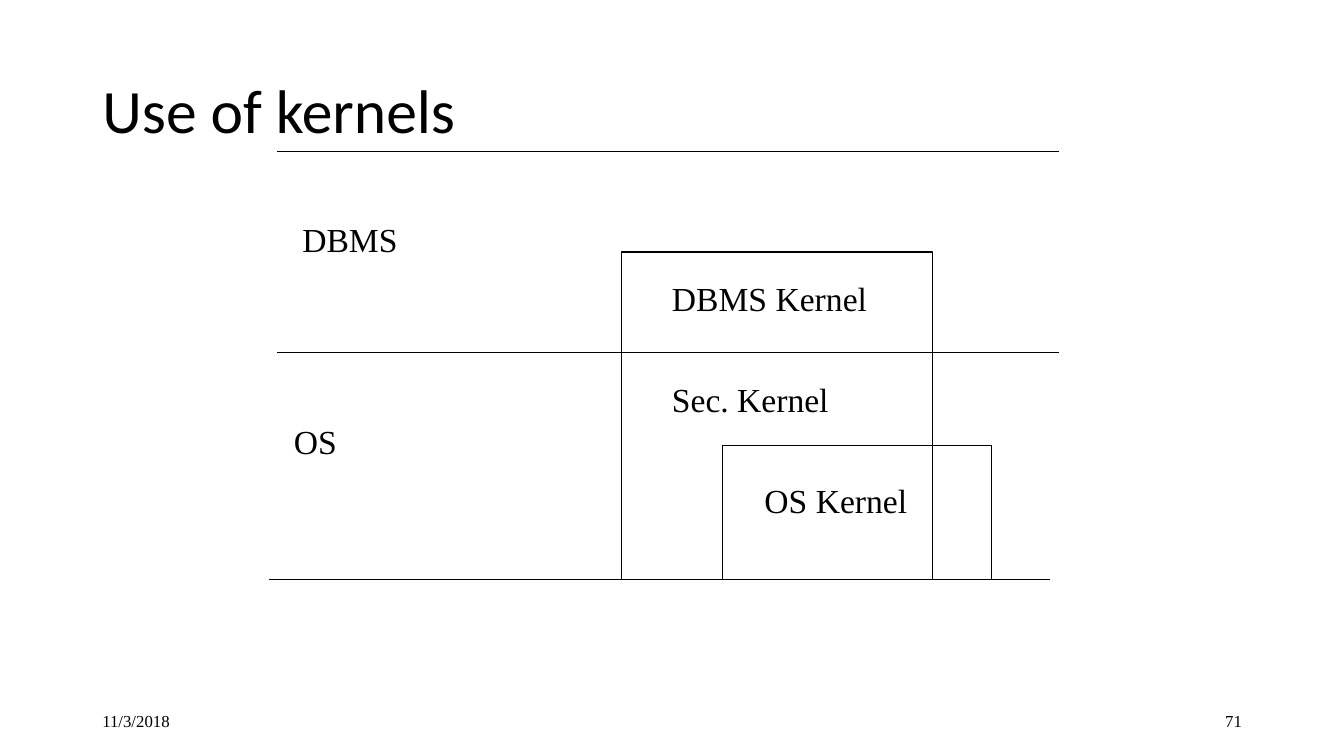
from dataclasses import dataclass

from lxml.etree import SubElement
from pptx import Presentation
from pptx.dml.color import RGBColor
from pptx.enum.shapes import MSO_CONNECTOR, MSO_SHAPE
from pptx.enum.text import MSO_ANCHOR, MSO_AUTO_SIZE, PP_ALIGN
from pptx.oxml.ns import qn
from pptx.util import Inches, Pt


@dataclass(frozen=True)
class Theme:
    ink: RGBColor = RGBColor(0, 0, 0)
    title_font: str = "Calibri"
    body_font: str = "Times New Roman"
    title_size: int = 44
    label_size: int = 24
    footer_size: int = 12
    line_width: float = 0.75


theme = Theme()
presentation = Presentation()
presentation.slide_width = Inches(13.33)
presentation.slide_height = Inches(7.5)
slide = presentation.slides.add_slide(presentation.slide_layouts[5])


def grid(*cells):
    """Turn counts of grid cells, twelve to the inch, into lengths."""
    return [Inches(cell / 12) for cell in cells]


def write(text, cells, holder=None, font=theme.body_font, size=theme.label_size,
          align=PP_ALIGN.LEFT, anchor=MSO_ANCHOR.TOP, wrap=False, spacing=None):
    box = holder or slide.shapes.add_textbox(*grid(*cells))
    box.left, box.top, box.width, box.height = grid(*cells)
    frame = box.text_frame
    frame.text = text
    frame.word_wrap = wrap
    frame.auto_size = MSO_AUTO_SIZE.NONE if wrap else MSO_AUTO_SIZE.SHAPE_TO_FIT_TEXT
    frame.vertical_anchor = anchor
    paragraph = frame.paragraphs[0]
    paragraph.alignment = align
    paragraph.line_spacing = spacing
    paragraph.font.name = font
    paragraph.font.size = Pt(size)
    paragraph.font.color.rgb = theme.ink


# Title
write("Use of kernels", (11, 4.8, 138, 17.4), holder=slide.shapes.title,
      font=theme.title_font, size=theme.title_size,
      anchor=MSO_ANCHOR.MIDDLE, wrap=True, spacing=0.9)

# Date and slide number
for footer, column, align in [("11/3/2018", 11, PP_ALIGN.LEFT),
                              ("71", 113, PP_ALIGN.RIGHT)]:
    write(footer, (column, 83.4, 36, 4.8), size=theme.footer_size,
          align=align, anchor=MSO_ANCHOR.MIDDLE, wrap=True)

# Boundaries of the system layers
layer_width = 93
for column, row in [(33, 18), (33, 42), (32, 69)]:
    boundary = slide.shapes.add_connector(
        MSO_CONNECTOR.STRAIGHT, *grid(column, row, column + layer_width, row))
    boundary.line.color.rgb = theme.ink
    boundary.line.width = Pt(theme.line_width)
    SubElement(boundary.element.spPr, qn("a:effectLst"))

# Security kernel and OS kernel, both standing on the lowest boundary
for column, row, width in [(74, 30, 37), (86, 53, 32)]:
    kernel = slide.shapes.add_shape(
        MSO_SHAPE.RECTANGLE, *grid(column, row, width, 69 - row))
    kernel.shadow.inherit = False
    kernel.fill.background()
    kernel.line.color.rgb = theme.ink
    kernel.line.width = Pt(theme.line_width)

# Layer and kernel labels
for label, column, row, width in [
    ("DBMS", 34.8, 25.5, 13.8),
    ("OS", 33.8, 49.5, 7.6),
    ("DBMS Kernel", 78.8, 32.5, 25.7),
    ("Sec. Kernel", 78.8, 44.5, 21.1),
    ("OS Kernel", 89.8, 56.5, 19.6),
]:
    write(label, (column, row, width, 6))

presentation.save("out.pptx")
